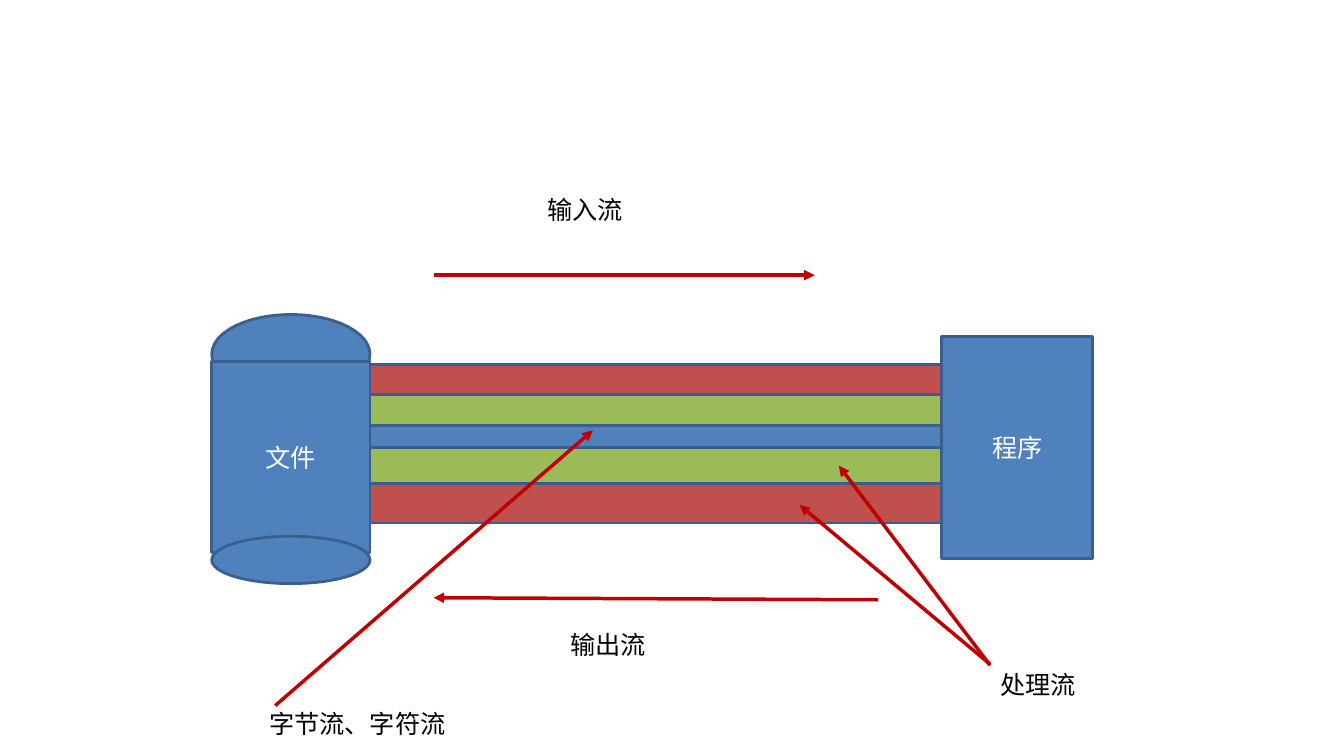
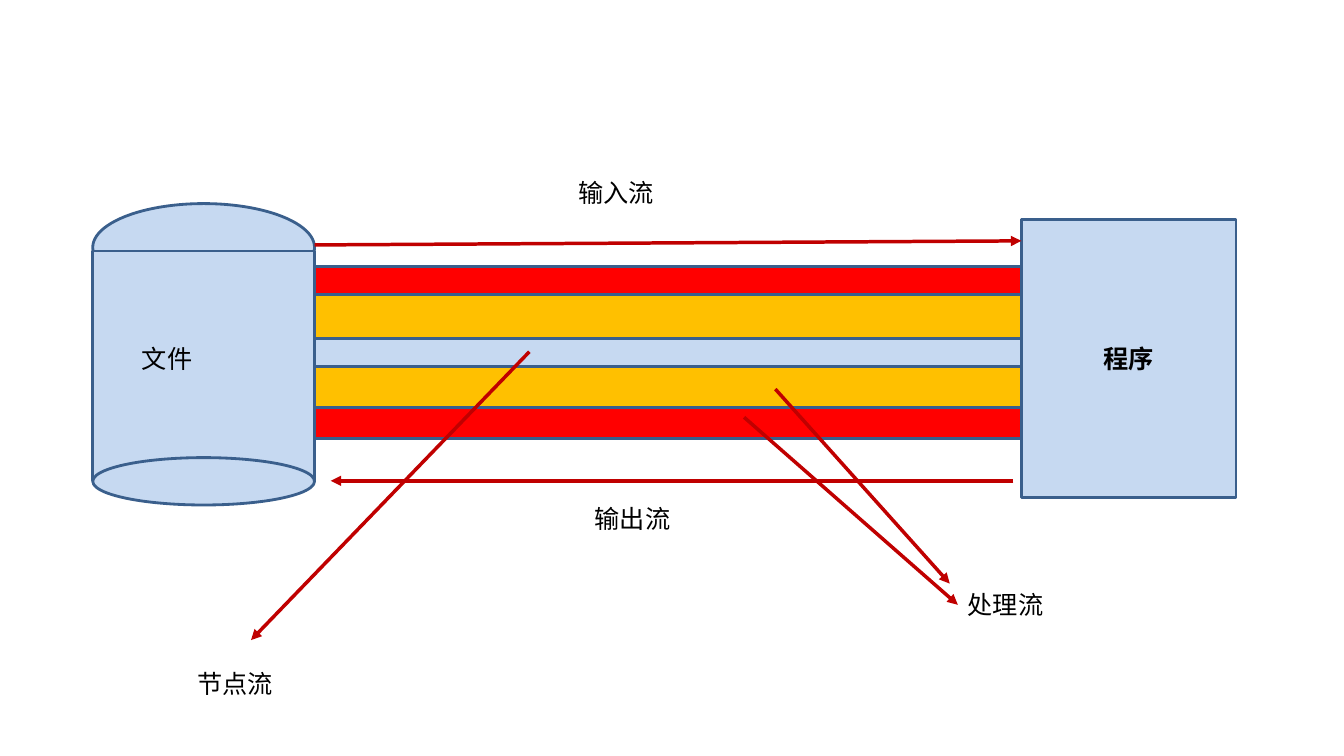
from lxml import etree
from pptx import Presentation
from pptx.dml.color import RGBColor
from pptx.enum import shapes, text
from pptx.oxml.ns import qn
from pptx.util import Inches, Pt

EDGE, ARROW, BLACK, WHITE = "3A5F8C", "C00000", "000000", "FFFFFF"
FONT = {"name": "Calibri", "size": Pt(18)}
RECT, OVAL = shapes.MSO_SHAPE.RECTANGLE, shapes.MSO_SHAPE.OVAL


def rgb(code):
    """Turn a hex string into a colour."""
    return RGBColor.from_string(code)


def apply(item, style):
    """Set each attribute of the style on the item."""
    for key, value in style.items():
        setattr(item, key, value)


class Deck:
    """Holds the style and the current slide."""

    def __init__(self):
        """Start an empty wide deck."""
        self.prs = Presentation()
        apply(self.prs, {"slide_width": Inches(13.33), "slide_height": Inches(7.5)})

    def page(self):
        """Add a blank slide and make it current."""
        self.slide = self.prs.slides.add_slide(self.prs.slide_layouts[6])

    def put(self, frame, words, color, bold=None, align=None):
        """Put one styled line of text in a frame."""
        para = frame.paragraphs[0]
        para.alignment = align
        run = para.add_run()
        run.text = words
        apply(run.font, {**FONT, "bold": bold})
        run.font.color.rgb = rgb(color)

    def shape(self, kind, box, fill, words=None, color=WHITE, bold=None):
        """Draw an outlined shape, with centred text if given."""
        item = self.slide.shapes.add_shape(kind, *map(Inches, box))
        item.shadow.inherit = False
        item.fill.solid()
        item.fill.fore_color.rgb = rgb(fill)
        item.line.color.rgb = rgb(EDGE)
        item.line.width = Pt(2)
        if words:
            item.text_frame.vertical_anchor = text.MSO_ANCHOR.MIDDLE
            self.put(item.text_frame, words, color, bold, text.PP_ALIGN.CENTER)

    def label(self, left, top, width, words):
        """Add a caption."""
        box = self.slide.shapes.add_textbox(*map(Inches, (left, top, width, 0.4)))
        apply(box.text_frame, {"word_wrap": True,
                               "auto_size": text.MSO_AUTO_SIZE.SHAPE_TO_FIT_TEXT})
        self.put(box.text_frame, words, BLACK)

    def arrow(self, *ends):
        """Draw an arrow from x, y to x, y."""
        item = self.slide.shapes.add_connector(
            shapes.MSO_CONNECTOR.STRAIGHT, *map(Inches, ends))
        item.line.color.rgb = rgb(ARROW)
        item.line.width = Pt(2.5)
        props = item._element.spPr
        etree.SubElement(props.find(qn("a:ln")), qn("a:tailEnd"), type="triangle")
        etree.SubElement(props, qn("a:effectLst"))

    def drum(self, left, width, rows, fill, words=None):
        """Draw the file drum: cap, body and base, each a top and a height."""
        for kind, (top, height), note in zip((OVAL, RECT, OVAL), rows, (None, words, None)):
            self.shape(kind, (left, top, width, height), fill, note)

    def pipe(self, left, width, layers):
        """Draw nested stream layers, each a top, a height and a fill."""
        for top, height, fill in layers:
            self.shape(RECT, (left, top, width, height), fill)

    def notes(self, arrows, labels):
        """Draw the arrows and captions of a slide."""
        for ends in arrows:
            self.arrow(*ends)
        for spot in labels:
            self.label(*spot)


deck = Deck()

deck.page()
BLUE = "4F81BD"
deck.pipe(3.67, 5.67, [(3.62, 1.57, "C0504D"), (3.91, 0.89, "9BBB59"), (4.22, 0.22, BLUE)])
deck.drum(2.1, 1.57, [(3.12, 0.79), (3.59, 1.89), (5.32, 0.47)], BLUE, "文件")
deck.shape(RECT, (9.34, 3.34, 1.5, 2.2), BLUE, "程序")
deck.notes(
    [(4.3, 2.73, 8.08, 2.73), (8.71, 5.95, 4.3, 5.93), (2.73, 7, 5.88, 4.27),
     (9.82, 6.6, 8.32, 4.62), (9.82, 6.59, 7.93, 5.01)],
    [(5.33, 1.88, 2.13, "输入流"), (5.56, 6.19, 1.89, "输出流"),
     (2.57, 6.98, 3.31, "字节流、字符流"), (9.82, 6.59, 1.77, "处理流")])

deck.page()
PALE = "C6D9F1"
deck.pipe(3.12, 7.01, [(2.64, 1.71, "FF0000"), (2.92, 1.12, "FFC000"), (3.36, 0.28, PALE)])
deck.drum(0.92, 2.2, [(2.02, 0.87), (2.49, 2.28), (4.54, 0.47)], PALE)
deck.shape(RECT, (10.13, 2.18, 2.13, 2.76), PALE, "程序", BLACK, True)
deck.notes(
    [(3.12, 2.43, 10.13, 2.39), (10.05, 4.77, 3.28, 4.77), (5.25, 3.49, 2.49, 6.35),
     (7.69, 3.86, 9.42, 5.79), (7.38, 4.14, 9.5, 6)],
    [(1.31, 3.36, 1.81, "文件"), (5.64, 1.71, 2.2, "输入流"), (5.8, 4.94, 2.2, "输出流"),
     (1.86, 6.58, 1.5, "节点流"), (9.5, 5.8, 1.81, "处理流")])

deck.prs.save("out.pptx")
